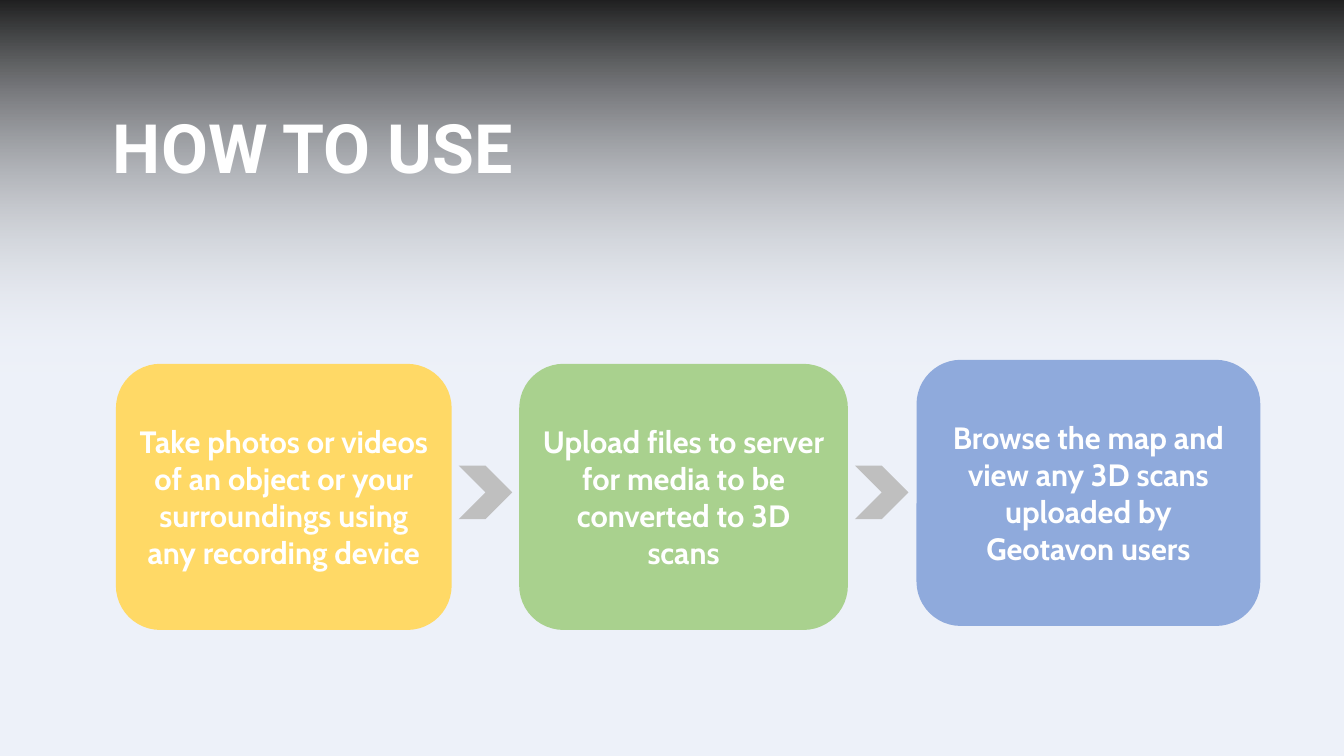
from pptx import Presentation
from pptx.dml.color import RGBColor
from pptx.enum.shapes import MSO_SHAPE
from pptx.enum.text import MSO_ANCHOR, MSO_AUTO_SIZE, PP_ALIGN
from pptx.oxml.ns import qn
from pptx.util import Emu, Pt
from lxml import etree

RECT = MSO_SHAPE.RECTANGLE
ROUNDED = MSO_SHAPE.ROUNDED_RECTANGLE
CHEVRON = MSO_SHAPE.CHEVRON
MIDDLE = MSO_ANCHOR.MIDDLE
NO_FIT = MSO_AUTO_SIZE.NONE
LEFT, CENTER = PP_ALIGN.LEFT, PP_ALIGN.CENTER

PX = 9144  # 100 px to the inch
TITLE_ONLY = 5

WHITE = RGBColor(0xFF, 0xFF, 0xFF)
BLACK = RGBColor(0x00, 0x00, 0x00)
PALE_BLUE = RGBColor(0xED, 0xF1, 0xF9)
MIST = RGBColor(0xF6, 0xF8, 0xFC)
YELLOW = RGBColor(0xFF, 0xD9, 0x66)
GREEN = RGBColor(0xA9, 0xD1, 0x8E)
BLUE = RGBColor(0x8F, 0xAA, 0xDC)
GREY = RGBColor(0xBF, 0xBF, 0xBF)

# left, top, width, fill, text
STEPS = [
    (115, 361, 333, YELLOW,
     "Take photos or videos of an object or your surroundings using any recording device"),
    (515, 361, 326, GREEN,
     "Upload files to server for media to be converted to 3D scans"),
    (909, 357, 341, BLUE,
     "Browse the map and view any 3D scans uploaded by Geotavon users"),
]
STEP_HEIGHT = 264
CHEVRON_LEFTS = (455, 848)


def write(tf, text, font="Cabin", size=22, color=WHITE, align=CENTER, spacing=1.0):
    tf.word_wrap = True
    tf.auto_size = NO_FIT
    tf.vertical_anchor = MIDDLE
    p = tf.paragraphs[0]
    p.alignment = align
    p.line_spacing = spacing
    r = p.add_run()
    r.text = text
    r.font.name = font
    r.font.size = Pt(size)
    r.font.bold = True
    r.font.color.rgb = color


class Deck:
    def __init__(self, width, height):
        self.prs = Presentation()
        self.prs.slide_width = Emu(width * PX)
        self.prs.slide_height = Emu(height * PX)
        self.s = self.prs.slides.add_slide(self.prs.slide_layouts[TITLE_ONLY])

    def background(self, color):
        fill = self.s.background.fill
        fill.solid()
        fill.fore_color.rgb = color

    def title(self, x, y, w, h, text, **fmt):
        sp = self.s.shapes.title
        sp.left, sp.top, sp.width, sp.height = (Emu(v * PX) for v in (x, y, w, h))
        write(sp.text_frame, text, **fmt)

    def shape(self, kind, x, y, w, h, color=None, text=None):
        sp = self.s.shapes.add_shape(kind, *(Emu(v * PX) for v in (x, y, w, h)))
        sp.shadow.inherit = False
        sp.line.fill.background()
        if color is not None:
            sp.fill.solid()
            sp.fill.fore_color.rgb = color
        if text:
            write(sp.text_frame, text)
        return sp

    def fade(self, x, y, w, h, top, bottom):
        """Rectangle behind the title, fading downwards to transparent."""
        sp = self.shape(RECT, x, y, w, h)
        sp.fill.gradient()
        sp.fill.gradient_angle = 270
        for stop, color in zip(sp.fill.gradient_stops, (top, bottom)):
            stop.color.rgb = color
        last = list(sp.element.iter(qn("a:gs")))[-1]
        etree.SubElement(last[0], qn("a:alpha"), val="0")
        self.s.shapes.title.element.addprevious(sp.element)


def main():
    deck = Deck(1333, 750)

    # Backdrop
    deck.background(PALE_BLUE)
    deck.fade(0, -27, 1333, 402, BLACK, MIST)

    # Title
    deck.title(102, 95, 437, 110, "HOW TO USE",
               font="Roboto", size=48.6, align=LEFT, spacing=0.9)

    # Steps
    for x, y, w, color, text in STEPS:
        deck.shape(ROUNDED, x, y, w, STEP_HEIGHT, color, text)

    # Chevrons between the steps
    for x in CHEVRON_LEFTS:
        deck.shape(CHEVRON, x, 462, 53, 53, GREY)

    deck.prs.save("out.pptx")


if __name__ == "__main__":
    main()
